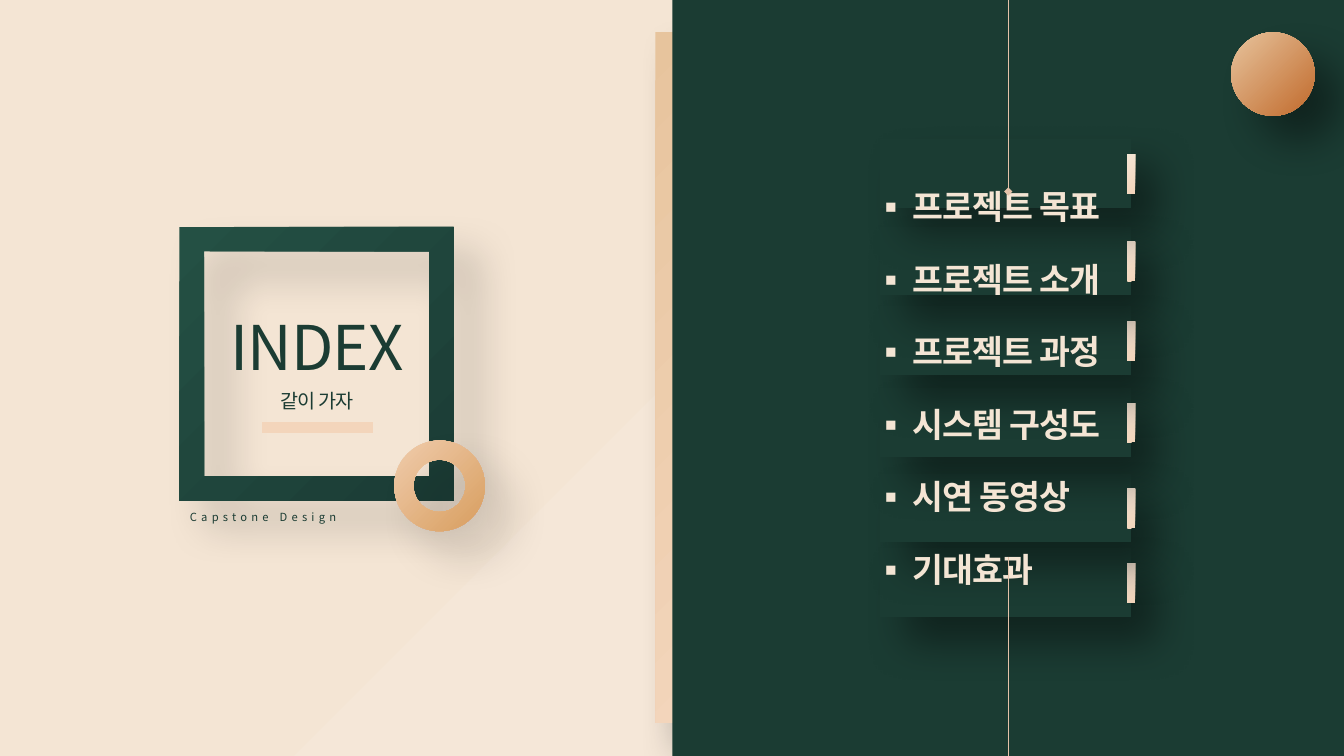
"""Build the index slide: a framed title on the left and six topics on a dark panel."""
from lxml import etree
from pptx import Presentation
from pptx.dml.color import RGBColor
from pptx.enum.shapes import MSO_CONNECTOR, MSO_SHAPE
from pptx.enum.text import MSO_ANCHOR, PP_ALIGN
from pptx.oxml import parse_xml
from pptx.oxml.ns import nsdecls, qn
from pptx.util import Inches, Pt

RECT, FRAME = MSO_SHAPE.RECTANGLE, MSO_SHAPE.FRAME
DONUT, OVAL = MSO_SHAPE.DONUT, MSO_SHAPE.OVAL
STRAIGHT, MIDDLE = MSO_CONNECTOR.STRAIGHT, MSO_ANCHOR.MIDDLE
LEFT, CENTER = PP_ALIGN.LEFT, PP_ALIGN.CENTER

FONT = "Noto Sans CJK KR"
GREEN = RGBColor(0x1B, 0x3C, 0x33)
DEEP_GREEN = RGBColor(0x1B, 0x3C, 0x35)
LEAF = RGBColor(0x24, 0x50, 0x44)
CREAM = RGBColor(0xF4, 0xE5, 0xD4)
PALE_CREAM = RGBColor(0xF5, 0xE7, 0xD8)
PEACH = RGBColor(0xF3, 0xD5, 0xBB)
BLUSH = RGBColor(0xF0, 0xCC, 0xAC)
SAND = RGBColor(0xE7, 0xC4, 0x9D)
GOLD = RGBColor(0xD8, 0x9E, 0x5F)
COPPER = RGBColor(0xC1, 0x6A, 0x2C)
ROSE = RGBColor(0xE4, 0xC2, 0xA9)

TO_END, TO_START = (100, 100, 0, 0), (0, 0, 100, 100)
SOFT, STRONG = 17, 40

TOPICS = [
    ("프로젝트 목표", 1.38),
    ("프로젝트 소개", 2.25),
    ("프로젝트 과정", 3.04),
    ("시스템 구성도", 3.85),
    ("시연 동영상", 4.7),
    ("기대효과", 5.44),
]
TITLES = [
    ("Capstone Design", (1.57, 4.99, 2.08, 0.26), 8, 3, 0.05),
    ("INDEX", (1.78, 3.05, 2.73, 0.62), 44, -0.6, 0),
    ("같이 가자", (1.78, 3.78, 2.73, 0.34), 14, -0.6, 0),
]
TOPIC_BOX = (8.57, 0.42, 3.22, 6.85)
TOPIC_GAP = 23
DECOR = [
    (RECT, (6.5, 0.32, 0.37, 6.85), (SAND, PEACH), None, STRONG, None),
    (RECT, (6.67, 0, 6.67, 7.5), (DEEP_GREEN, GREEN), TO_END, None, None),
    (FRAME, (1.78, 2.25, 2.72, 2.72), (LEAF, DEEP_GREEN), None, SOFT, 0.09),
    (DONUT, (3.91, 4.37, 0.9, 0.9), (BLUSH, GOLD), None, SOFT, 0.213),
]
BALL = (OVAL, (12.21, 0.32, 0.83, 0.83), (SAND, COPPER), None, STRONG, None)
LINES = [
    ((10, 0, 10, 1.9), ROSE, 0.75, "diamond"),
    ((10, 5.53, 10, 7.5), ROSE, 0.75, None),
    ((2.6, 4.24, 3.7, 4.24), PEACH, 8, None),
]


def paint_gradient(fill, owner, colors, focus):
    """Fill with two colours, diagonally or radiating from a focus rectangle."""
    fill.gradient()
    for stop, color in zip(fill.gradient_stops, colors):
        stop.color.rgb = color
    if focus is None:
        fill.gradient_angle = 315
        return
    gradient = next(owner.iter(qn("a:gradFill")))
    gradient.remove(gradient.find(qn("a:lin")))
    radial = etree.SubElement(gradient, qn("a:path"), {"path": "circle"})
    sides = {side: str(share * 1000) for side, share in zip("ltrb", focus)}
    etree.SubElement(radial, qn("a:fillToRect"), sides)


def add_panel(page, kind, place, colors, focus, shade, adjust):
    """Add a borderless gradient shape with an optional drop shadow."""
    shape = page.shapes.add_shape(kind, *map(Inches, place))
    shape.shadow.inherit = False
    shape.line.fill.background()
    paint_gradient(shape.fill, shape._element, colors, focus)
    if adjust is not None:
        shape.adjustments[0] = adjust
    if shade is not None:
        effects = shape._element.spPr.find(qn("a:effectLst"))
        effects.append(parse_xml(
            f'<a:outerShdw {nsdecls("a")} blurRad="{Pt(30)}" dist="{Pt(26)}" '
            f'dir="2700000" algn="tl" rotWithShape="0"><a:srgbClr val="000000">'
            f'<a:alpha val="{shade * 1000}"/></a:srgbClr></a:outerShdw>'))


def add_frame(page, place, inset_x, inset_y):
    """Add a wrapping, vertically centred text box and return its text frame."""
    frame = page.shapes.add_textbox(*map(Inches, place)).text_frame
    settings = {
        "word_wrap": True, "vertical_anchor": MIDDLE,
        "margin_left": Inches(inset_x), "margin_right": Inches(inset_x),
        "margin_top": Inches(inset_y), "margin_bottom": Inches(inset_y),
    }
    for name, value in settings.items():
        setattr(frame, name, value)
    return frame


def write(para, text, align, size, color, bold, tracking):
    """Put one formatted run into a paragraph."""
    para.alignment = align
    span = para.add_run()
    span.text = text
    for name, value in {"name": FONT, "size": Pt(size), "bold": bold}.items():
        setattr(span.font, name, value)
    span.font.color.rgb = color
    properties = span._r.get_or_add_rPr()
    properties.set("spc", str(round(tracking * 100)))
    etree.SubElement(properties, qn("a:ea"), {"typeface": FONT})


def add_bullet(para):
    """Give a paragraph a hanging square bullet."""
    properties = para._p.get_or_add_pPr()
    properties.set("marL", str(Inches(0.38)))
    properties.set("indent", str(-Inches(0.38)))
    etree.SubElement(properties, qn("a:buFont"), {"typeface": FONT})
    etree.SubElement(properties, qn("a:buChar"), {"char": "▪"})


def add_line(page, ends, color, width, tail):
    """Add a straight line with an optional marker at its end."""
    line = page.shapes.add_connector(STRAIGHT, *map(Inches, ends))
    line.line.color.rgb = color
    line.line.width = Pt(width)
    if tail:
        etree.SubElement(line.line._get_or_add_ln(), qn("a:tailEnd"), {"type": tail})
    etree.SubElement(line._element.spPr, qn("a:effectLst"))


def main():
    """Compose the slide and save it."""
    deck = Presentation()
    deck.slide_width, deck.slide_height = Inches(13.33), Inches(7.5)
    page = deck.slides.add_slide(deck.slide_layouts[6])
    paint_gradient(page.background.fill, page._element, (PALE_CREAM, CREAM), TO_END)

    for panel in DECOR:
        add_panel(page, *panel)
    for _, top in reversed(TOPICS):
        add_panel(page, RECT, (8.73, top, 2.49, 0.68), (GREEN, DEEP_GREEN), None, STRONG, None)
        add_panel(page, RECT, (11.18, top + 0.15, 0.08, 0.39), (CREAM, PEACH), TO_START, None, None)

    for text, place, size, tracking, inset in TITLES:
        para = add_frame(page, place, inset * 2, inset).paragraphs[0]
        para.line_spacing = 1.2
        write(para, text, CENTER, size, GREEN, False, tracking)

    frame = add_frame(page, TOPIC_BOX, 0.1, 0.05)
    for index, (topic, _) in enumerate(TOPICS):
        para = frame.add_paragraph() if index else frame.paragraphs[0]
        para.space_before = Pt(TOPIC_GAP if index else 0)
        write(para, topic, LEFT, 24, CREAM, True, -0.6)
        add_bullet(para)

    add_panel(page, *BALL)
    for line in LINES:
        add_line(page, *line)
    deck.save("out.pptx")


if __name__ == "__main__":
    main()
